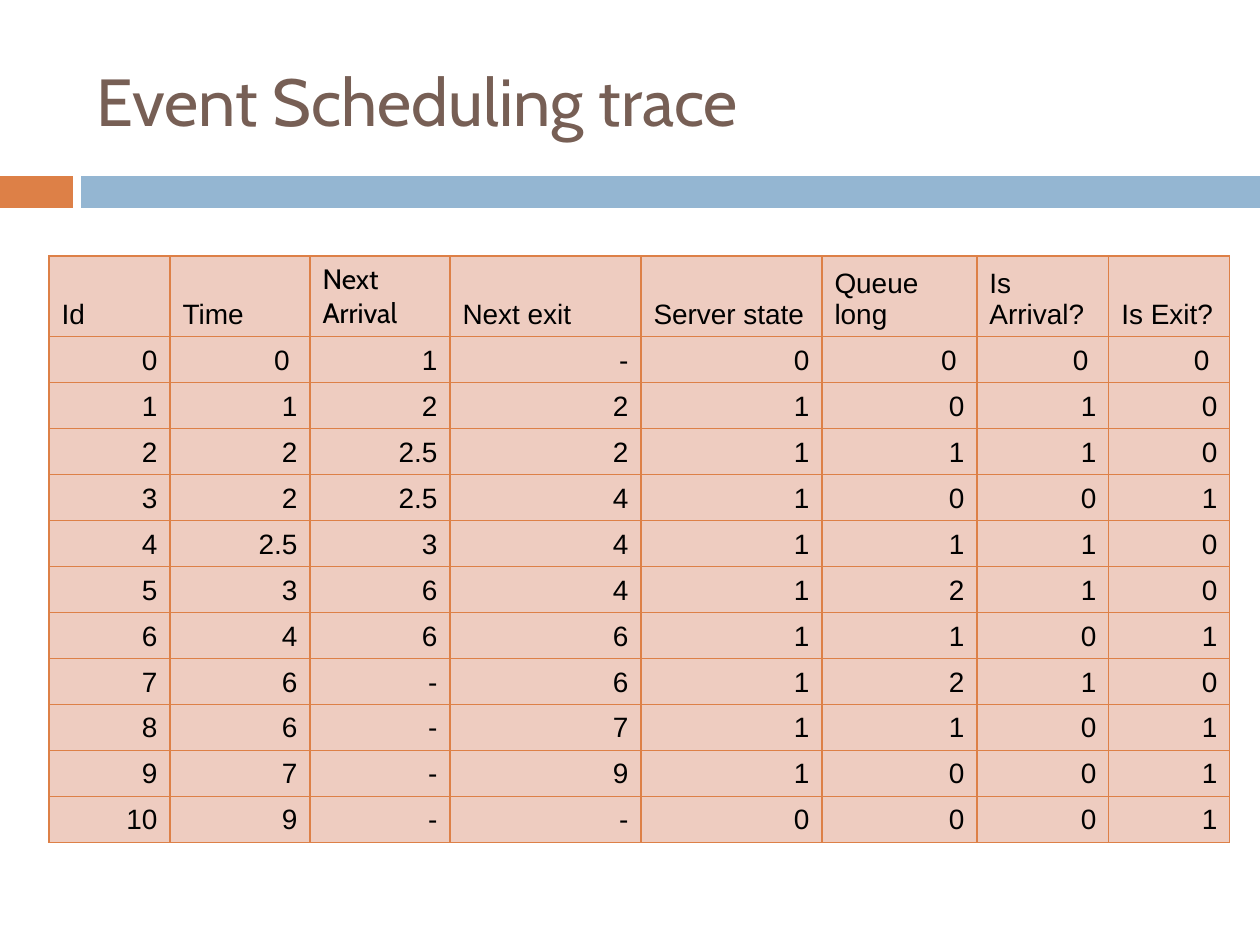
import pptx
import pptx.dml.color
import pptx.enum.shapes
import pptx.enum.text
import pptx.oxml
import pptx.oxml.ns
import pptx.util

# Content
TITLE = "Event Scheduling trace"
HEADS = ["Id", "Time", "Next Arrival", "Next exit", "Server state",
         "Queue long", "Is Arrival?", "Is Exit?"]
GAP = chr(160)  # no-break space beside the zeros of the first row
LEAD, TAIL = GAP + "0", "0" + GAP
ROWS = [
    [LEAD, TAIL, "1", "-", LEAD, TAIL, TAIL, TAIL],
    ["1", "1", "2", "2", "1", "0", "1", "0"],
    ["2", "2", "2.5", "2", "1", "1", "1", "0"],
    ["3", "2", "2.5", "4", "1", "0", "0", "1"],
    ["4", "2.5", "3", "4", "1", "1", "1", "0"],
    ["5", "3", "6", "4", "1", "2", "1", "0"],
    ["6", "4", "6", "6", "1", "1", "0", "1"],
    ["7", "6", "-", "6", "1", "2", "1", "0"],
    ["8", "6", "-", "7", "1", "1", "0", "1"],
    ["9", "7", "-", "9", "1", "0", "0", "1"],
    ["10", "9", "-", "-", "0", "0", "0", "1"],
]

# Places in px
WIDE, HIGH = 1260, 945
HEAD_BOX = (84, 32, 1124, 136)
BARS = [((0, 176, 73, 32), "accent"), ((81, 176, 1179, 32), "band")]
LEFT, TOP = 49, 256
COLS = [121, 140, 140, 191, 181, 155, 132, 121]
HEAD_ROW, ROW = 79, 46

THEME = {
    "accent": "DD8047", "band": "94B6D2", "title": "775F55",
    "cell": "EECCC0", "text": "000000",
    "title_font": "Cabin", "font": "Arial",
    "title_size": 38, "size": 16, "line": 0.79,
}


def px(num):
    return pptx.util.Emu(round(num * 914400 / 126))


def tint(name):
    return pptx.dml.color.RGBColor.from_string(THEME[name])


def style(para, face, size, color):
    for run in para.runs:
        run.font.name = THEME[face]
        run.font.size = pptx.util.Pt(THEME[size])
        run.font.color.rgb = tint(color)


def edge(cell):
    props = cell._tc.get_or_add_tcPr()
    width = pptx.util.Pt(THEME["line"])
    for side in ("lnL", "lnR", "lnT", "lnB"):
        props.append(pptx.oxml.parse_xml(
            f'<a:{side} {pptx.oxml.ns.nsdecls("a")} w="{width}"><a:solidFill>'
            f'<a:srgbClr val="{THEME["accent"]}"/></a:solidFill></a:{side}>'))


def put_title(slide):
    title = slide.shapes.title
    title.left, title.top, title.width, title.height = map(px, HEAD_BOX)
    frame = title.text_frame
    frame.text = TITLE
    frame.auto_size = pptx.enum.text.MSO_AUTO_SIZE.NONE
    frame.vertical_anchor = pptx.enum.text.MSO_ANCHOR.MIDDLE
    para = frame.paragraphs[0]
    para.alignment = pptx.enum.text.PP_ALIGN.LEFT
    style(para, "title_font", "title_size", "title")


def put_bars(slide):
    for box, color in BARS:
        bar = slide.shapes.add_shape(
            pptx.enum.shapes.MSO_SHAPE.RECTANGLE, *map(px, box))
        bar.shadow.inherit = False
        bar.fill.solid()
        bar.fill.fore_color.rgb = tint(color)
        bar.line.fill.background()


def put_table(slide):
    data = [HEADS] + ROWS
    highs = [HEAD_ROW] + [ROW] * len(ROWS)
    table = slide.shapes.add_table(
        len(data), len(COLS), px(LEFT), px(TOP),
        px(sum(COLS)), px(sum(highs))).table
    table.first_row = table.horz_banding = False
    for col, width in zip(table.columns, COLS):
        col.width = px(width)
    for row, high in zip(table.rows, highs):
        row.height = px(high)
    for r, line in enumerate(data):
        for c, text in enumerate(line):
            cell = table.cell(r, c)
            cell.text_frame.text = text
            cell.vertical_anchor = pptx.enum.text.MSO_ANCHOR.BOTTOM
            edge(cell)
            cell.fill.solid()
            cell.fill.fore_color.rgb = tint("cell")
            para = cell.text_frame.paragraphs[0]
            if r:
                para.alignment = pptx.enum.text.PP_ALIGN.RIGHT
            face = "title_font" if text == "Next Arrival" else "font"
            style(para, face, "size", "text")


def main():
    deck = pptx.Presentation()
    deck.slide_width, deck.slide_height = px(WIDE), px(HIGH)
    slide = deck.slides.add_slide(deck.slide_layouts[5])
    put_title(slide)
    put_bars(slide)
    put_table(slide)
    deck.save("out.pptx")


if __name__ == "__main__":
    main()
